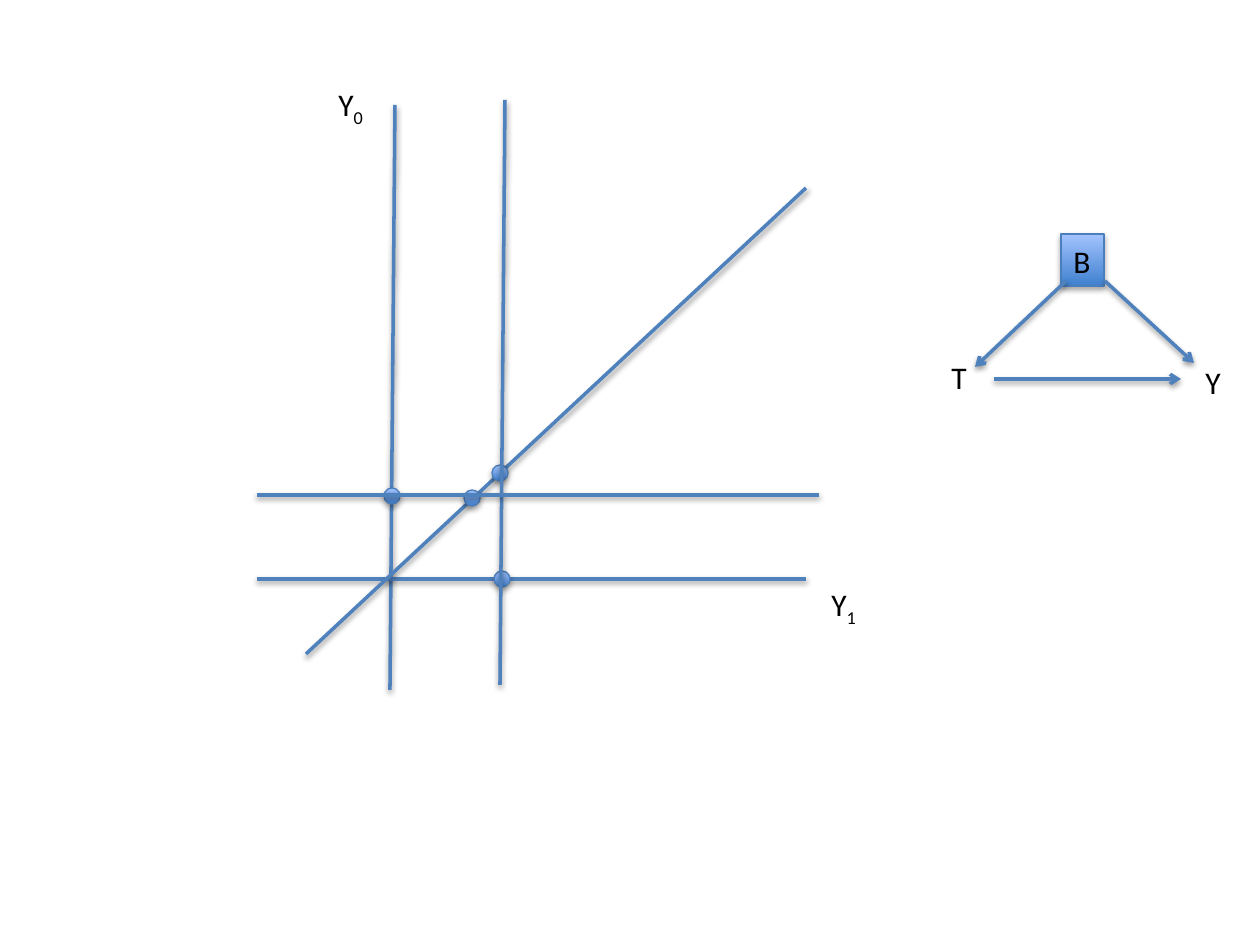
from dataclasses import dataclass

import pptx
import pptx.dml.color
import pptx.enum.shapes
import pptx.enum.text
import pptx.oxml
import pptx.oxml.ns
import pptx.util

EMU_PER_PX = 914400 / 126
SHAPES = pptx.enum.shapes.MSO_SHAPE


@dataclass(frozen=True)
class Theme:
    font: str = "Calibri"
    text_pt: int = 18
    line_pt: float = 2
    outline_pt: float = 0.75
    text: str = "000000"
    line: str = "4F81BD"
    outline: str = "4B7EBC"
    gradient: tuple = ("3F80CE", "A4C4FF")
    subscript: int = -25000


def px(value):
    return pptx.util.Emu(round(value * EMU_PER_PX))


def rgb(value):
    return pptx.dml.color.RGBColor.from_string(value)


def add_run(paragraph, text, *, font, size, color, baseline=None):
    run = paragraph.add_run()
    run.text = text
    run.font.name = font
    run.font.size = pptx.util.Pt(size)
    run.font.color.rgb = rgb(color)
    if baseline is not None:
        run.font._element.set("baseline", str(baseline))


def add_shadow(shape, distance, opacity):
    """Soft black shadow below a shape; call after fill and line are set."""
    shape._element.spPr.append(pptx.oxml.parse_xml(
        f'<a:effectLst {pptx.oxml.ns.nsdecls("a")}>'
        f'<a:outerShdw blurRad="40000" dist="{distance}" dir="5400000" rotWithShape="0">'
        f'<a:srgbClr val="000000"><a:alpha val="{opacity}000"/></a:srgbClr>'
        '</a:outerShdw></a:effectLst>'))


class Diagram:
    def __init__(self, slide, theme):
        self.slide = slide
        self.theme = theme

    def line(self, x1, y1, x2, y2, arrow=False):
        connector = self.slide.shapes.add_connector(
            pptx.enum.shapes.MSO_CONNECTOR.STRAIGHT, px(x1), px(y1), px(x2), px(y2))
        connector.line.color.rgb = rgb(self.theme.line)
        connector.line.width = pptx.util.Pt(self.theme.line_pt)
        if arrow:
            connector.line._get_or_add_ln().append(pptx.oxml.parse_xml(
                f'<a:tailEnd {pptx.oxml.ns.nsdecls("a")} type="arrow"/>'))
        add_shadow(connector, 20000, 38)

    def shape(self, kind, x, y, width, height):
        shape = self.slide.shapes.add_shape(kind, px(x), px(y), px(width), px(height))
        shape.fill.gradient()
        shape.fill.gradient_angle = 90
        for stop, color in zip(shape.fill.gradient_stops, self.theme.gradient):
            stop.color.rgb = rgb(color)
        shape.line.color.rgb = rgb(self.theme.outline)
        shape.line.width = pptx.util.Pt(self.theme.outline_pt)
        add_shadow(shape, 23000, 35)

    def label(self, text, x, y, width, subscript=None):
        box = self.slide.shapes.add_textbox(px(x), px(y), px(width), px(50))
        frame = box.text_frame
        frame.word_wrap = subscript is None
        frame.auto_size = pptx.enum.text.MSO_AUTO_SIZE.SHAPE_TO_FIT_TEXT
        style = dict(font=self.theme.font, size=self.theme.text_pt, color=self.theme.text)
        add_run(frame.paragraphs[0], text, **style)
        if subscript:
            add_run(frame.paragraphs[0], subscript, baseline=self.theme.subscript, **style)


def main():
    presentation = pptx.Presentation()
    presentation.slide_width = pptx.util.Inches(10)
    presentation.slide_height = pptx.util.Inches(7.5)
    slide = presentation.slides.add_slide(presentation.slide_layouts[6])
    diagram = Diagram(slide, Theme())

    # Axes and diagonal
    diagram.line(395, 105, 390, 690)
    diagram.line(257, 579, 806, 579)
    diagram.line(306, 654, 806, 188)
    diagram.label("Y", 326, 79, 52, subscript="0")
    diagram.label("Y", 819, 579, 52, subscript="1")

    # Crossing points
    dot = 16
    for center_x, center_y in [(472, 498), (500, 473), (392, 496), (502, 579)]:
        diagram.shape(SHAPES.OVAL, center_x - dot // 2, center_y - dot // 2, dot, dot)

    # Shifted lines
    diagram.line(505, 100, 500, 685)
    diagram.line(257, 495, 819, 495)

    # Causal triangle: B to T and Y, T to Y
    diagram.shape(SHAPES.RECTANGLE, 1061, 234, 43, 52)
    diagram.label("Y", 1193, 357, 43)
    diagram.label("T", 939, 352, 55)
    diagram.label("B", 1061, 236, 59)
    diagram.line(1105, 281, 1194, 363, arrow=True)
    diagram.line(1066, 281, 975, 367, arrow=True)
    diagram.line(994, 379, 1181, 379, arrow=True)

    presentation.save("out.pptx")


if __name__ == "__main__":
    main()
